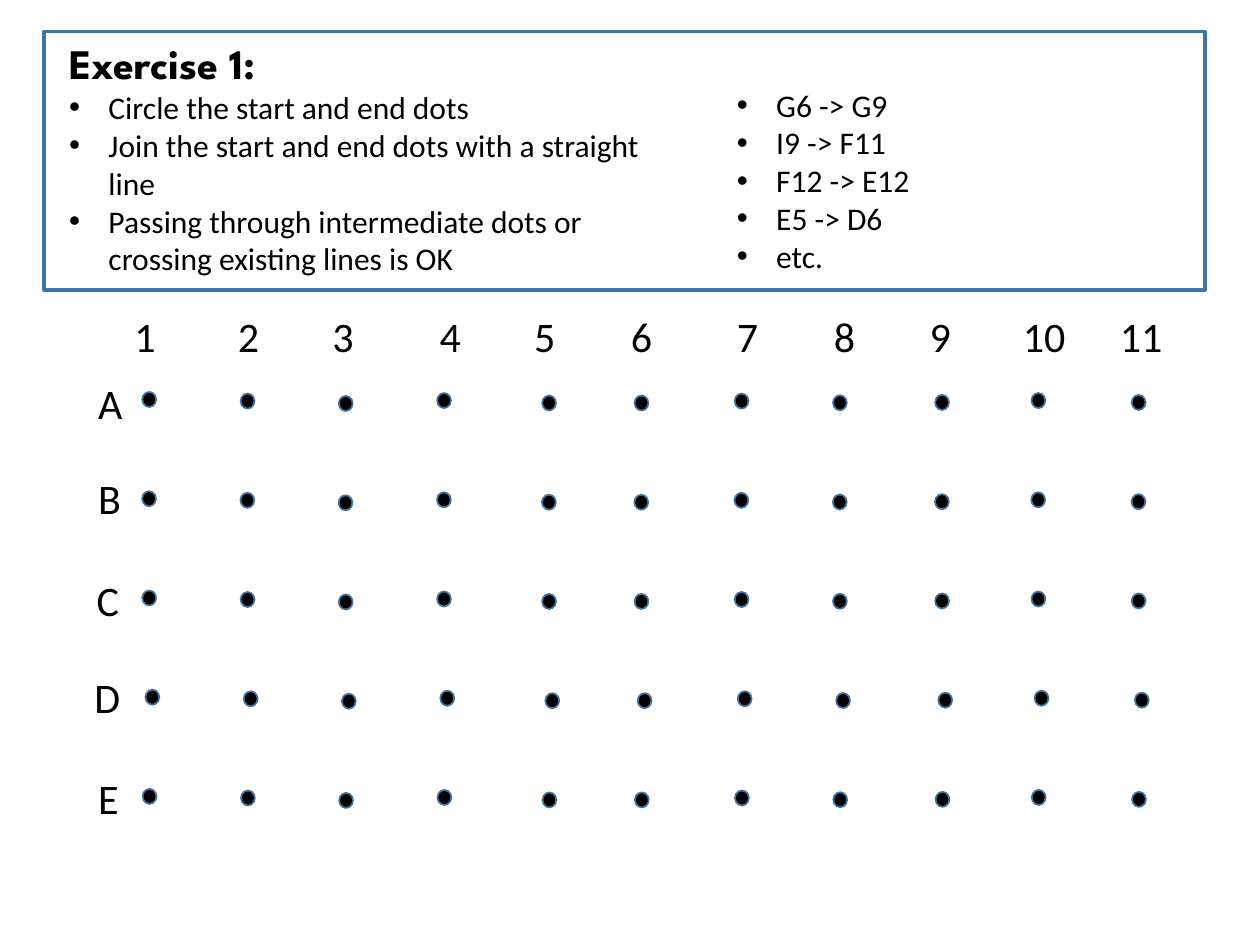
from dataclasses import dataclass

from lxml.etree import SubElement
from pptx import Presentation
from pptx.dml.color import RGBColor as RGB
from pptx.enum.shapes import MSO_SHAPE as Shape
from pptx.enum.text import MSO_AUTO_SIZE as Fit
from pptx.oxml.ns import qn
from pptx.util import Pt


@dataclass(frozen=True)
class Theme:
    ink: RGB = RGB(0, 0, 0)
    edge: RGB = RGB(0x43, 0x73, 0x9E)
    head: str = "League Spartan"
    body: str = "Calibri"
    large: int = 24
    small: int = 18


THEME = Theme()

TITLE = "Exercise 1:"
RULES = [
    "Circle the start and end dots",
    "Join the start and end dots with a straight line",
    "Passing through intermediate dots or crossing existing lines is OK",
]
PAIRS = ["G6 -> G9", "I9 -> F11", "F12 -> E12", "E5 -> D6", "etc."]

# Column number: left and width of its label, left and drop of its dots
COLS = [
    (69.8, 26.6, 81.3, 0), (128.9, 20.9, 137.5, 0.9),
    (182.9, 21.6, 193.6, 2.3), (244.1, 26.6, 249.8, 0.6),
    (298.1, 26.6, 309.8, 2), (353.5, 26.6, 362.6, 2),
    (414, 26.6, 419.8, 0.9), (469.4, 26.6, 476, 1.9),
    (524.2, 26.6, 534.4, 1.7), (577.4, 38.9, 589.4, 0.6),
    (632.9, 38.9, 646.7, 1.7),
]
# Row letter: left, top and width of its label, shift of its dots
ROWS = {
    "A": (49, 212.4, 28.8, 0),
    "B": (49, 266.4, 27.4, -0.1),
    "C": (48.2, 324.7, 27.4, 0),
    "D": (46.8, 380.2, 29.5, 1.8),
    "E": (49, 437.8, 26.6, 0.2),
}
NUM_TOP, LABEL_H = 174.2, 36
DOT_TOP, DOT_GAP = 224, 56.7
DOT_W, DOT_H = 7.9, 8.6


def style(para, size, name, bold=False):
    for run in para.runs:
        font = run.font
        font.size, font.name, font.bold = Pt(size), name, bold
        font.color.rgb = THEME.ink


def bullet(para):
    props = para._p.get_or_add_pPr()
    props.set("marL", str(Pt(22.5)))
    props.set("indent", str(-Pt(22.5)))
    SubElement(props, qn("a:buFont"), typeface="Arial")
    SubElement(props, qn("a:buChar"), char="•")


def text_box(slide, box, lines, wrap=True):
    frame = slide.shapes.add_textbox(*map(Pt, box)).text_frame
    frame.text = "\n".join(lines)
    frame.word_wrap = wrap
    frame.auto_size = Fit.SHAPE_TO_FIT_TEXT
    return frame.paragraphs


def list_box(slide, box, items, title=None):
    paras = text_box(slide, box, ([title] if title else []) + items)
    if title:
        style(paras[0], THEME.large, THEME.head, True)
        paras = paras[1:]
    for para in paras:
        bullet(para)
        style(para, THEME.small, THEME.body)


def label(slide, text, left, top, width):
    """Wrap only boxes too narrow for their digit, so it stays at the left."""
    box = (left, top, width, LABEL_H)
    para = text_box(slide, box, [text], wrap=width < 24)[0]
    style(para, THEME.large, THEME.body)


def outline(slide, kind, box, weight, fill=None):
    shape = slide.shapes.add_shape(kind, *map(Pt, box))
    shape.shadow.inherit = False
    shape.line.color.rgb, shape.line.width = THEME.edge, Pt(weight)
    if fill is None:
        shape.fill.background()
    else:
        shape.fill.solid()
        shape.fill.fore_color.rgb = fill


def dot_grid(slide):
    for row, (*_, shift) in enumerate(ROWS.values()):
        for _, _, left, drop in COLS:
            top = DOT_TOP + row * DOT_GAP + drop
            box = (left + shift, top, DOT_W, DOT_H)
            outline(slide, Shape.OVAL, box, 1, THEME.ink)
    for num, (left, width, *_) in enumerate(COLS, 1):
        label(slide, str(num), left, NUM_TOP, width)
    for name, (left, top, width, _) in ROWS.items():
        label(slide, name, left, top, width)


def main():
    deck = Presentation()
    deck.slide_width, deck.slide_height = Pt(720), Pt(540)
    slide = deck.slides.add_slide(deck.slide_layouts[6])
    list_box(slide, (32.4, 18, 361.4, 150.5), RULES, TITLE)
    list_box(slide, (414, 45.4, 252, 116.6), PAIRS)
    dot_grid(slide)
    outline(slide, Shape.RECTANGLE, (25.4, 18, 663.1, 147.6), 2.25)
    deck.save("out.pptx")


if __name__ == "__main__":
    main()
